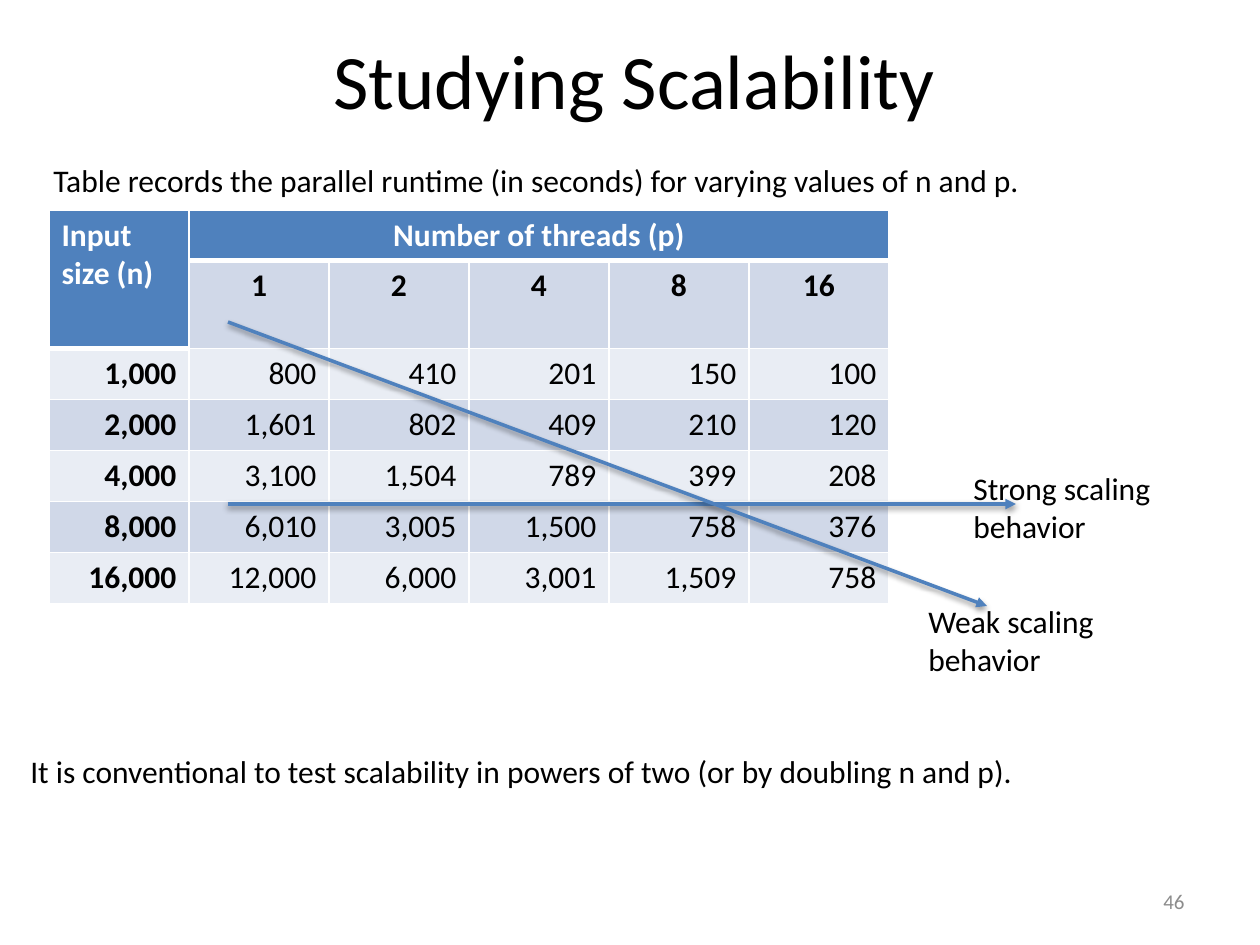
from dataclasses import dataclass

from lxml import etree
from pptx import Presentation
from pptx.dml.color import RGBColor
from pptx.enum.shapes import MSO_CONNECTOR
from pptx.enum.text import MSO_ANCHOR, PP_ALIGN
from pptx.oxml import parse_xml
from pptx.oxml.ns import nsdecls, qn
from pptx.util import Emu, Pt

STRAIGHT = MSO_CONNECTOR.STRAIGHT
TOP, MIDDLE = MSO_ANCHOR.TOP, MSO_ANCHOR.MIDDLE
LEFT, CENTER, RIGHT = PP_ALIGN.LEFT, PP_ALIGN.CENTER, PP_ALIGN.RIGHT
EMU_PER_INCH, PX_PER_INCH = 914400, 126


@dataclass(frozen=True)
class Theme:
    """Fonts, type sizes and colours of the slide."""
    font: str = "Calibri"
    title: int = 44
    body: int = 18
    number: int = 12
    black: str = "000000"
    white: str = "FFFFFF"
    gray: str = "8C8C8C"
    blue: str = "4F81BD"
    dark_band: str = "D0D8E8"
    light_band: str = "E9EDF4"


THEME = Theme()
THREADS = ["1", "2", "4", "8", "16"]
RUNTIMES = [
    ["1,000", "800", "410", "201", "150", "100"],
    ["2,000", "1,601", "802", "409", "210", "120"],
    ["4,000", "3,100", "1,504", "789", "399", "208"],
    ["8,000", "6,010", "3,005", "1,500", "758", "376"],
    ["16,000", "12,000", "6,000", "3,001", "1,509", "758"],
]


def px(length):
    """Turn pixels into EMU."""
    return Emu(round(length * EMU_PER_INCH / PX_PER_INCH))


def write(frame, text, size=THEME.body, color=THEME.black, align=LEFT, bold=False):
    """Write one styled paragraph into a text frame."""
    para = frame.paragraphs[0]
    para.text = text
    para.alignment = align
    para.font.name = THEME.font
    para.font.size = Pt(size)
    para.font.bold = bold
    para.font.color.rgb = RGBColor.from_string(color)


def add_text(slide, bounds, text, anchor=TOP, **style):
    """Add a wrapping text box."""
    box = slide.shapes.add_textbox(*map(px, bounds))
    box.text_frame.word_wrap = True
    box.text_frame.vertical_anchor = anchor
    write(box.text_frame, text, **style)


def set_borders(cell, bottom):
    """Give a cell white borders with a chosen bottom width."""
    properties = cell._tc.get_or_add_tcPr()
    for side, width in (("L", 1), ("R", 1), ("T", 1), ("B", bottom)):
        properties.append(parse_xml(
            f'<a:ln{side} {nsdecls("a")} w="{Pt(width)}"><a:solidFill>'
            f'<a:srgbClr val="{THEME.white}"/></a:solidFill></a:ln{side}>'))


def fill_cell(cell, fill, text="", bottom=1, **style):
    """Set the borders, fill and text of a cell."""
    set_borders(cell, bottom)
    cell.fill.solid()
    cell.fill.fore_color.rgb = RGBColor.from_string(fill)
    write(cell.text_frame, text, **style)


def add_runtime_table(slide):
    """Add the table of runtimes by input size and thread count."""
    heights = [26, 26] + [51] * len(RUNTIMES)
    columns = len(THREADS) + 1
    frame = slide.shapes.add_table(
        len(heights), columns, px(49), px(210), px(140 * columns), px(357))
    table = frame.table
    table.first_row = table.horz_banding = False
    for row, height in zip(table.rows, heights):
        row.height = px(height)

    headings = ["Input size (n)", "Number of threads (p)"] + [""] * (columns - 2)
    for column, text in enumerate(headings):
        fill_cell(table.cell(0, column), THEME.blue, text, bottom=3,
                  color=THEME.white, bold=True, align=CENTER if column else LEFT)
    fill_cell(table.cell(1, 0), THEME.blue, bottom=3)
    for column, count in enumerate(THREADS, 1):
        fill_cell(table.cell(1, column), THEME.dark_band, count, bold=True, align=CENTER)
    for row, values in enumerate(RUNTIMES, 2):
        band = THEME.dark_band if row % 2 else THEME.light_band
        for column, value in enumerate(values):
            fill_cell(table.cell(row, column), band, value, bold=column == 0, align=RIGHT)
    table.cell(0, 0).merge(table.cell(1, 0))
    table.cell(0, 1).merge(table.cell(0, columns - 1))


def add_arrow(slide, *ends):
    """Add a shadowed arrow from its start to its end point."""
    arrow = slide.shapes.add_connector(STRAIGHT, *map(px, ends))
    arrow.line.color.rgb = RGBColor.from_string(THEME.blue)
    arrow.line.width = Pt(2)
    etree.SubElement(arrow.line._get_or_add_ln(), qn("a:tailEnd"), type="triangle")
    arrow._element.spPr.append(parse_xml(
        f'<a:effectLst {nsdecls("a")}><a:outerShdw blurRad="40000" dist="20000" '
        f'dir="5400000" rotWithShape="0"><a:srgbClr val="{THEME.black}">'
        '<a:alpha val="38000"/></a:srgbClr></a:outerShdw></a:effectLst>'))


def main():
    """Build and save the scalability slide."""
    deck = Presentation()
    deck.slide_width, deck.slide_height = px(1260), px(945)
    slide = deck.slides.add_slide(deck.slide_layouts[6])

    add_text(slide, (76, 0, 1134, 158), "Studying Scalability ", MIDDLE,
             size=THEME.title, align=CENTER)
    add_runtime_table(slide)
    add_text(slide, (18, 746, 1021, 50),
             "It is conventional to test scalability in powers of two (or by doubling n and p).")
    add_text(slide, (41, 155, 997, 50),
             "Table records the parallel runtime (in seconds) for varying values of n and p.")
    add_arrow(slide, 228, 504, 1016, 504)
    add_text(slide, (961, 463, 212, 89), "Strong scaling \nbehavior")
    add_arrow(slide, 228, 322, 987, 606)
    add_text(slide, (916, 596, 200, 89), "Weak scaling \nbehavior")
    add_text(slide, (903, 876, 294, 50), "46", MIDDLE,
             size=THEME.number, color=THEME.gray, align=RIGHT)
    deck.save("out.pptx")


if __name__ == "__main__":
    main()
